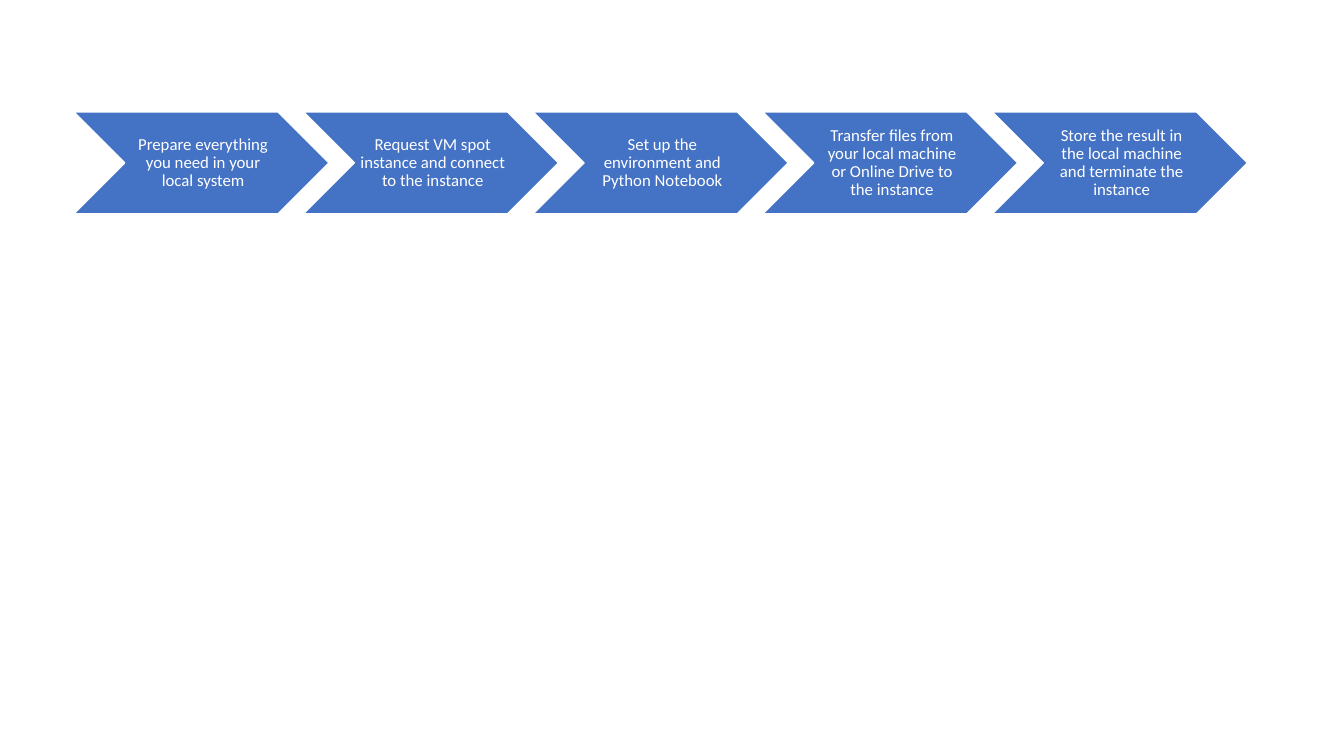
from pptx import Presentation
from pptx.dml.color import RGBColor
from pptx.enum.shapes import MSO_SHAPE
from pptx.enum.text import MSO_ANCHOR, PP_ALIGN
from pptx.util import Cm, Pt

STEPS = [
    "Prepare everything you need in your local system",
    "Request VM spot instance and connect to the instance",
    "Set up the environment and Python Notebook",
    "Transfer files from your local machine or Online Drive to the instance",
    "Store the result in the local machine and terminate the instance",
]
COLORS = {"chevron": "4472C4", "white": "FFFFFF"}
FONT = "Calibri"

LEFT, TOP = 1.86, 2.82
WIDTH, HEIGHT = 6.43, 2.57
PITCH = WIDTH * 0.9  # each chevron overlaps the next by a tenth


def color(name):
    """Return the named palette colour."""
    return RGBColor.from_string(COLORS[name])


def add_step(s, index, text):
    """Add one chevron of the process with its centred label."""
    sp = s.shapes.add_shape(MSO_SHAPE.CHEVRON, Cm(LEFT + index * PITCH),
                            Cm(TOP), Cm(WIDTH), Cm(HEIGHT))
    sp.name = f"Step {index + 1}"
    sp.shadow.inherit = False
    sp.fill.solid()
    sp.fill.fore_color.rgb = color("chevron")
    sp.line.color.rgb = color("white")
    sp.line.width = Pt(1)

    tf = sp.text_frame
    tf.word_wrap = True
    tf.vertical_anchor = MSO_ANCHOR.MIDDLE
    tf.margin_left = Cm(0.13)
    tf.margin_right = tf.margin_top = tf.margin_bottom = Cm(0.04)
    p = tf.paragraphs[0]
    p.alignment = PP_ALIGN.CENTER
    p.line_spacing = 0.9
    r = p.add_run()
    r.text = text
    r.font.name = FONT
    r.font.size = Pt(12)
    r.font.color.rgb = color("white")


prs = Presentation()
prs.slide_width, prs.slide_height = Cm(33.87), Cm(19.05)
s = prs.slides.add_slide(prs.slide_layouts[6])
for index, text in enumerate(STEPS):
    add_step(s, index, text)
prs.save("out.pptx")
